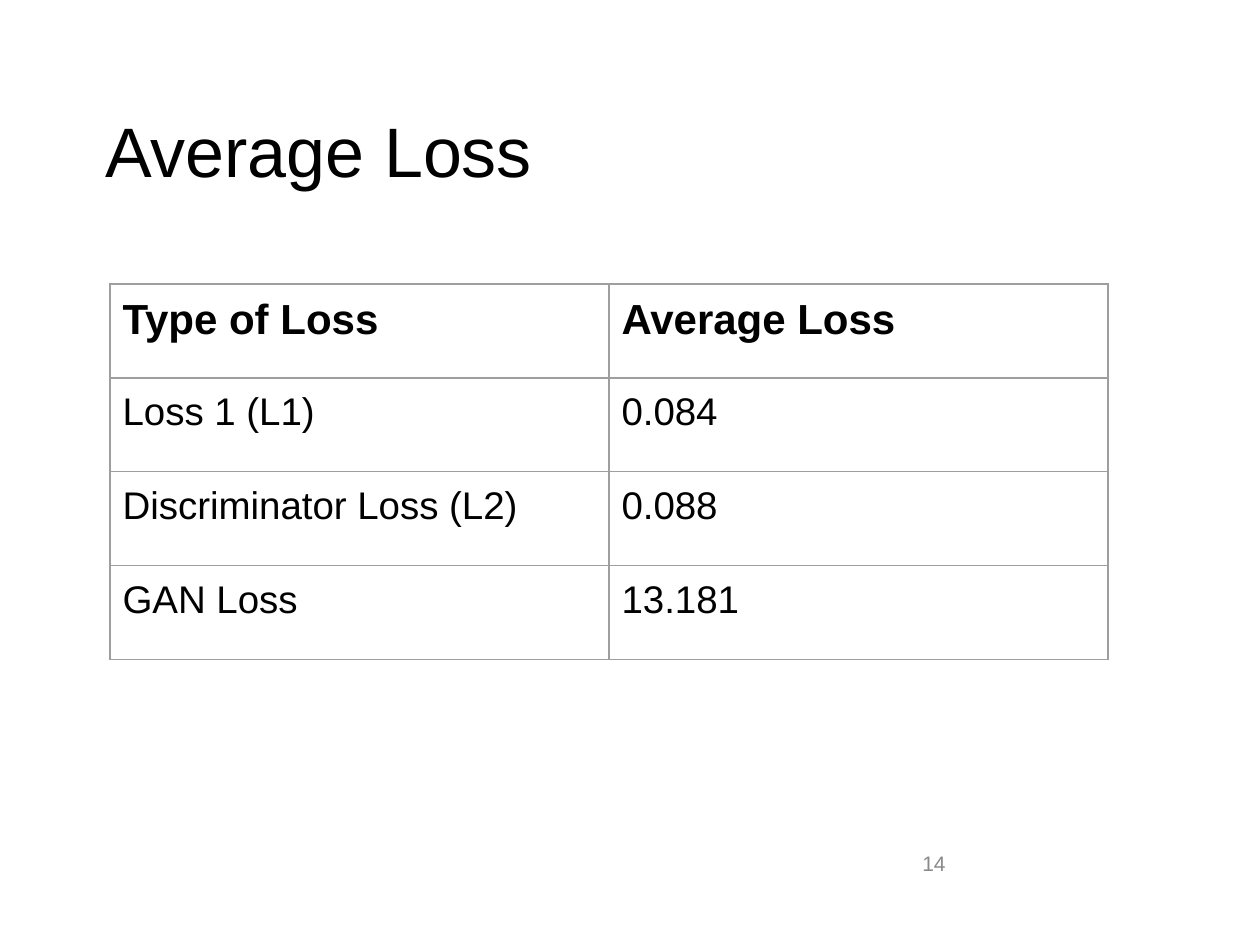
from dataclasses import dataclass

from lxml import etree
from pptx import Presentation
from pptx import util as u
from pptx.dml.color import RGBColor
from pptx.enum import text
from pptx.oxml import ns

PX_PER_INCH = 126


@dataclass(frozen=True)
class Theme:
    font: str = "Arial"
    ink: str = "000000"
    muted: str = "898989"
    rule: str = "9E9E9E"
    title_size: int = 40
    header_size: int = 24
    body_size: int = 22
    number_size: int = 12
    rule_width: float = 0.75


THEME = Theme()
LOSSES = [
    ("Type of Loss", "Average Loss"),
    ("Loss 1 (L1)", "0.084"),
    ("Discriminator Loss (L2)", "0.088"),
    ("GAN Loss", "13.181"),
]


def px(n):
    return u.Emu(round(n * 914400 / PX_PER_INCH))


def style(p, size, color=THEME.ink, bold=False):
    p.font.name = THEME.font
    p.font.size = u.Pt(size)
    p.font.bold = bold
    p.font.color.rgb = RGBColor.from_string(color)


def add_text(s, box, content, size, color=THEME.ink,
             align=text.PP_ALIGN.LEFT, anchor=text.MSO_ANCHOR.TOP, before=0):
    tf = s.shapes.add_textbox(*map(px, box)).text_frame
    tf.word_wrap = True
    tf.vertical_anchor = anchor
    p = tf.paragraphs[0]
    p.text = content
    p.alignment = align
    p.space_before = u.Pt(before)
    style(p, size, color)


def add_borders(cell):
    props = cell._tc.get_or_add_tcPr()
    for i, side in enumerate(("lnL", "lnR", "lnT", "lnB")):
        ln = etree.Element(ns.qn(f"a:{side}"), w=str(u.Pt(THEME.rule_width)))
        fill = etree.SubElement(ln, ns.qn("a:solidFill"))
        etree.SubElement(fill, ns.qn("a:srgbClr"), val=THEME.rule)
        props.insert(i, ln)


def add_table(s, left, top, col_width, row_height, rows):
    n_rows, n_cols = len(rows), len(rows[0])
    table = s.shapes.add_table(
        n_rows, n_cols, px(left), px(top),
        px(col_width * n_cols), px(row_height * n_rows)).table
    table.first_row = table.horz_banding = False
    for i, row in enumerate(rows):
        table.rows[i].height = px(row_height)
        for j, content in enumerate(row):
            cell = table.cell(i, j)
            cell.fill.background()
            cell.margin_left = cell.margin_right = u.Inches(0.1)
            cell.margin_top = cell.margin_bottom = u.Inches(0.1)
            p = cell.text_frame.paragraphs[0]
            p.text = content
            header = i == 0
            style(p, THEME.header_size if header else THEME.body_size, bold=header)
            add_borders(cell)


def main():
    prs = Presentation()
    prs.slide_width, prs.slide_height = px(1260), px(945)
    s = prs.slides.add_slide(prs.slide_layouts[6])
    add_text(s, (93, 101, 1071, 113), "Average Loss", THEME.title_size, before=5)
    add_text(s, (664, 838, 294, 50), "14", THEME.number_size, THEME.muted,
             text.PP_ALIGN.RIGHT, text.MSO_ANCHOR.MIDDLE)
    add_table(s, 110, 284, 499, 94, LOSSES)
    prs.save("out.pptx")


if __name__ == "__main__":
    main()
